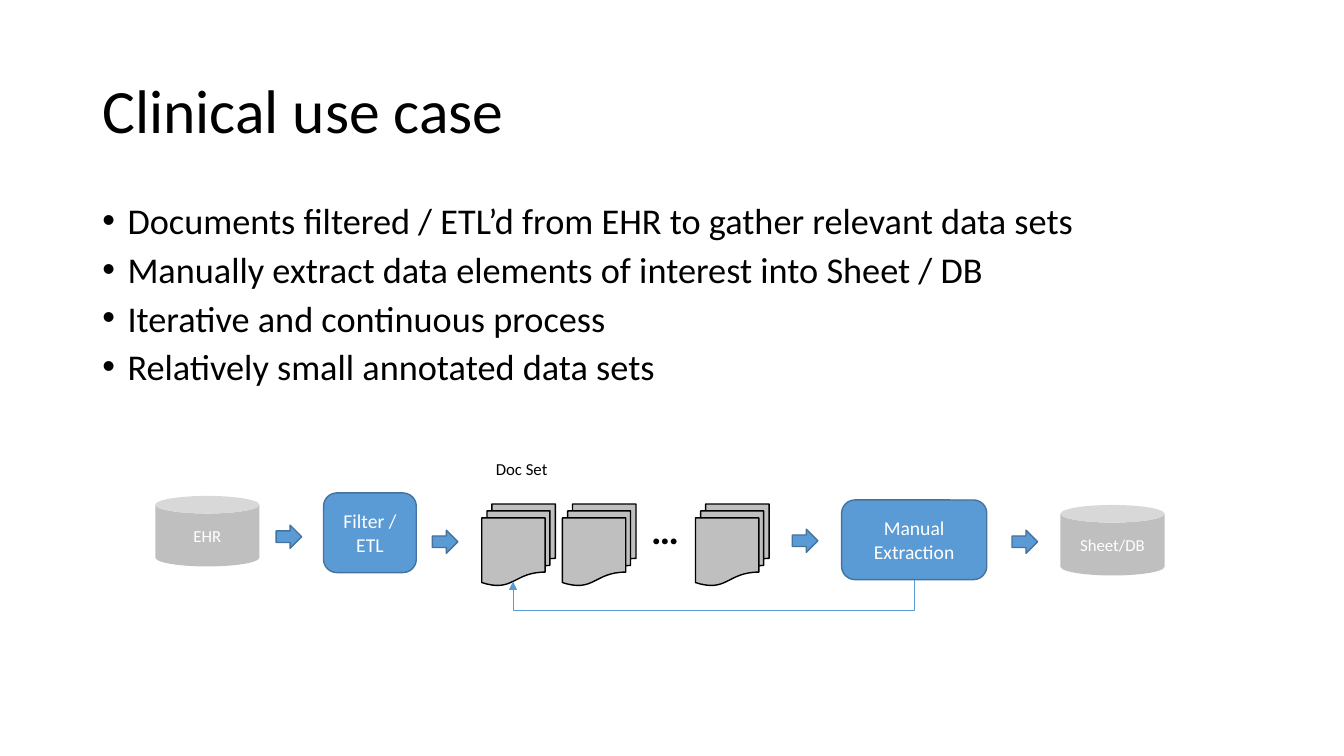
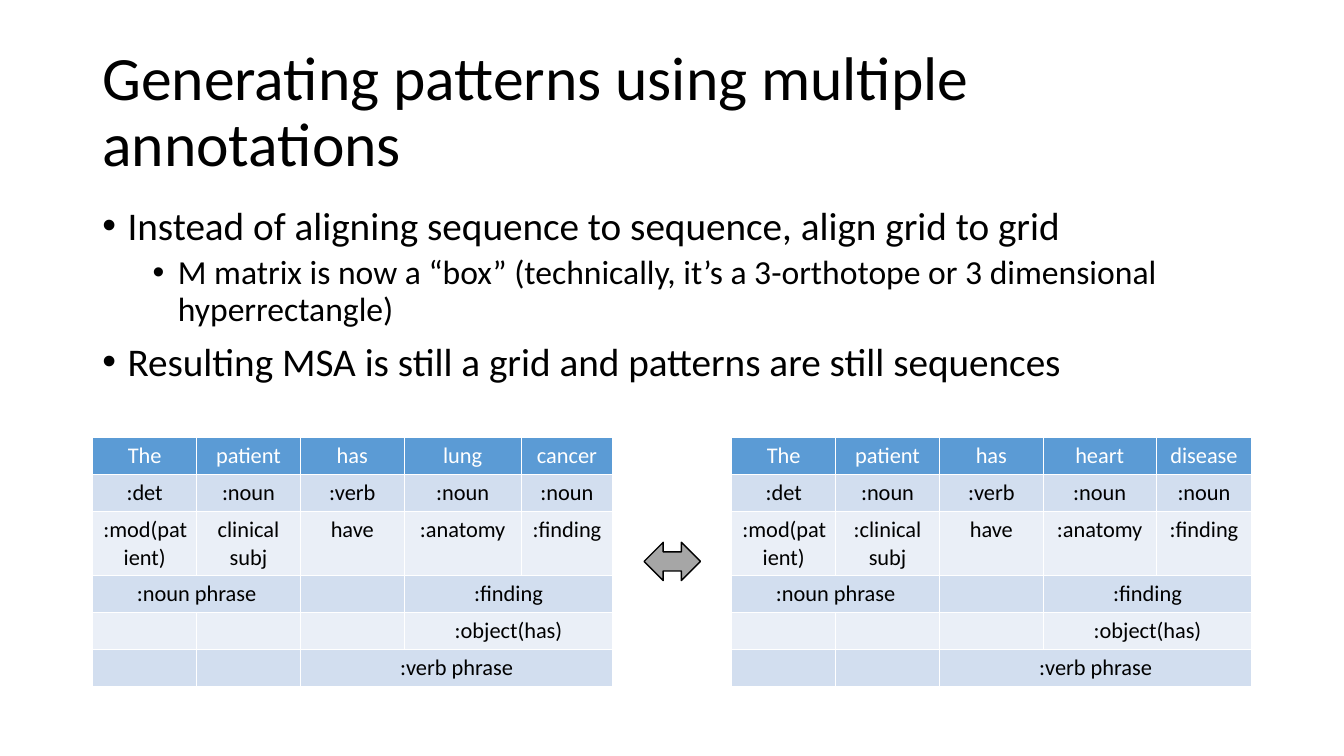
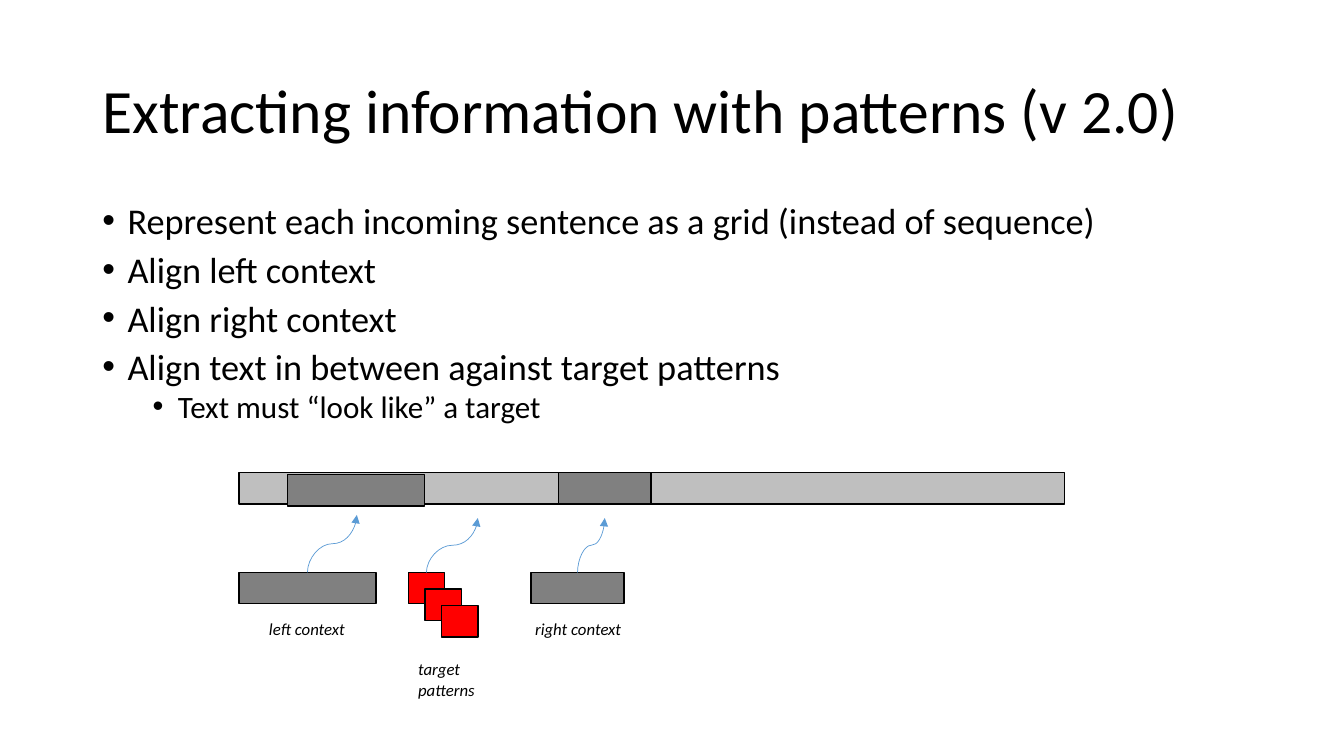
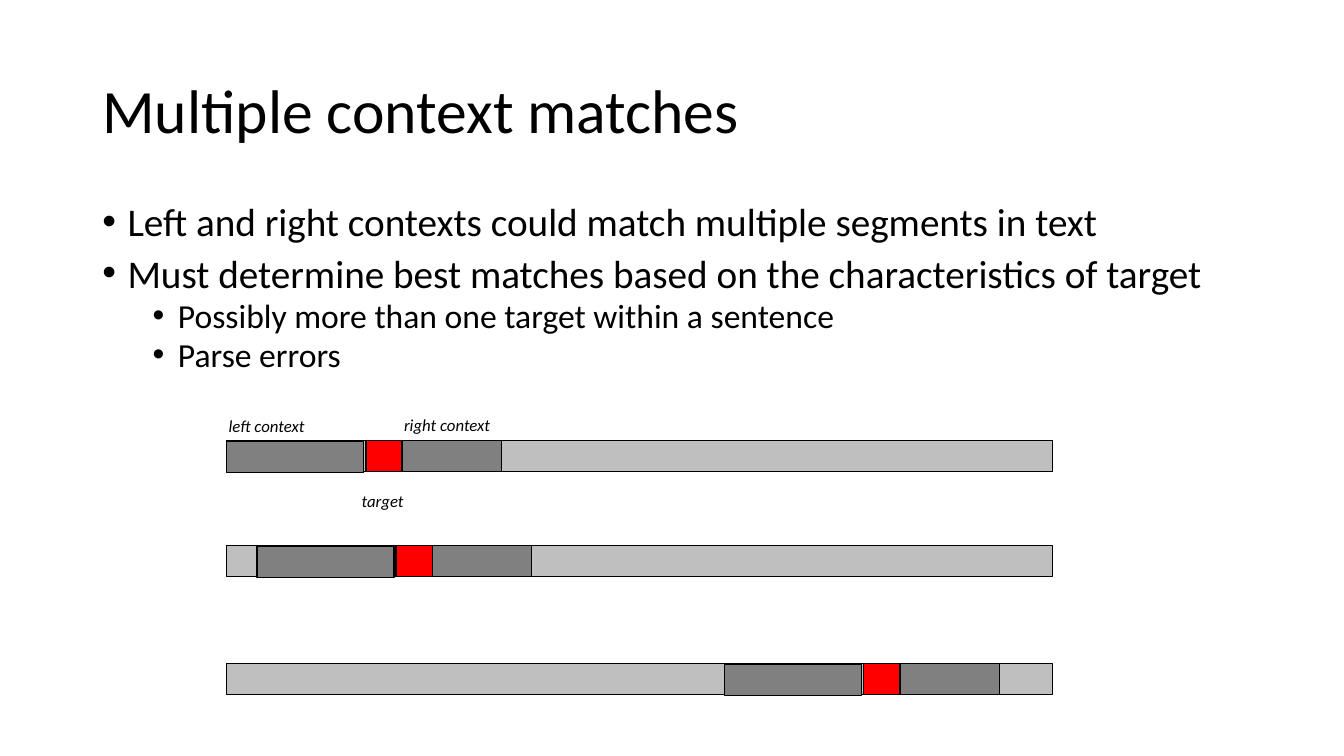
from lxml.etree import SubElement
from pptx import Presentation
from pptx.dml.color import RGBColor
from pptx.enum.shapes import MSO_CONNECTOR as LINK, MSO_SHAPE as SHAPE
from pptx.enum.text import MSO_ANCHOR, PP_ALIGN
from pptx.oxml.ns import qn
from pptx.util import Inches, Pt


class Theme:
    font = "Calibri"
    black, white, red = (RGBColor.from_string(c) for c in ("000000", "FFFFFF", "FF0000"))
    blue, navy = (RGBColor.from_string(c) for c in ("5B9BD5", "43739E"))
    pale, mid, dark = (RGBColor.from_string(c) for c in ("BFBFBF", "A6A6A6", "808080"))
    bands = [RGBColor.from_string(c) for c in ("EAEFF7", "D2DEEF")]
    title, dots, cell, step, note = 44, 28, 16, 14, 12
    large, small = (28, 24), (25.9, 22.2)


deck = Presentation()
deck.slide_width, deck.slide_height = Inches(13.333), Inches(7.5)
COL, ROW = deck.slide_width / 40, deck.slide_height / 30


def write(frame, lines, size, color=Theme.black, align=None, bold=False, italic=False):
    for i, line in enumerate(lines):
        para = frame.paragraphs[0] if i == 0 else frame.add_paragraph()
        para.alignment = align
        run = para.add_run()
        run.text = line
        font = run.font
        font.name, font.size, font.color.rgb = Theme.font, Pt(size), color
        font.bold, font.italic = bold, italic


def draw(slide, kind, x, y, wide, high, fill=None, edge=None):
    """Add a preset shape, or a text box when kind is None, in grid units."""
    area = [int(n) for n in (x * COL, y * ROW, wide * COL, high * ROW)]
    if kind is None:
        return slide.shapes.add_textbox(*area)
    shape = slide.shapes.add_shape(kind, *area)
    shape.shadow.inherit = False
    shape.fill.solid()
    shape.fill.fore_color.rgb = fill
    if edge is None:
        shape.line.fill.background()
    else:
        shape.line.color.rgb, shape.line.width = edge, Pt(1)
    return shape


# Titles and bullets: title, sizes by level, line spacing, (level, text)
pages = [
    ("Clinical use case", Theme.small, 0.8, [
        (0, "Documents filtered / ETL’d from EHR to gather relevant data sets"),
        (0, "Manually extract data elements of interest into Sheet / DB"),
        (0, "Iterative and continuous process"),
        (0, "Relatively small annotated data sets")]),
    ("Generating patterns using multiple annotations", Theme.large, 0.9, [
        (0, "Instead of aligning sequence to sequence, align grid to grid"),
        (1, "M matrix is now a “box” (technically, it’s a 3-orthotope or 3 dimensional hyperrectangle)"),
        (0, "Resulting MSA is still a grid and patterns are still sequences")]),
    ("Extracting information with patterns (v 2.0)", Theme.small, 0.8, [
        (0, "Represent each incoming sentence as a grid (instead of sequence)"),
        (0, "Align left context"),
        (0, "Align right context"),
        (0, "Align text in between against target patterns"),
        (1, "Text must “look like” a target")]),
    ("Multiple context matches", Theme.large, 0.8, [
        (0, "Left and right contexts could match multiple segments in text"),
        (0, "Must determine best matches based on the characteristics of target"),
        (1, "Possibly more than one target within a sentence"),
        (1, "Parse errors")]),
]
slides = []
for title, sizes, space, points in pages:
    slide = deck.slides.add_slide(deck.slide_layouts[6])
    slides.append(slide)
    frame = draw(slide, None, 2.75, 1.6, 34.5, 5.8).text_frame
    frame.word_wrap, frame.vertical_anchor = True, MSO_ANCHOR.MIDDLE
    write(frame, [title], Theme.title)
    frame.paragraphs[0].line_spacing = 0.9
    frame = draw(slide, None, 2.75, 8, 34.5, 8).text_frame
    frame.word_wrap = True
    write(frame, [text for _, text in points], sizes[0])
    for para, (level, _) in zip(frame.paragraphs, points):
        para.level, para.line_spacing = level, space
        para.space_before = Pt(5 if level else 10)
        para.runs[0].font.size = Pt(sizes[level])
        props = para._p.get_or_add_pPr()
        props.set("marL", str(Inches(0.25 + 0.5 * level)))
        props.set("indent", str(Inches(-0.25)))
        SubElement(props, qn("a:buFont")).set("typeface", "Arial")
        SubElement(props, qn("a:buChar")).set("char", "•")
flow, grids, match, multi = slides

# Flow of documents
for x, y, name in [(4.62, 19.68, "EHR"), (31.56, 20.04, "Sheet/DB")]:
    can = draw(flow, SHAPE.CAN, x, y, 3.1, 2.8, Theme.pale)
    write(can.text_frame, [name], Theme.note, Theme.white, PP_ALIGN.CENTER)
for x, y, wide, lines in [(9.63, 19.56, 2.76, ["Filter / ETL"]),
                          (25.05, 19.84, 4.32, ["Manual", "Extraction"])]:
    step = draw(flow, SHAPE.ROUNDED_RECTANGLE, x, y, wide, 3.16, Theme.blue, Theme.navy)
    write(step.text_frame, lines, Theme.step, Theme.white, PP_ALIGN.CENTER)
for x in (14.34, 16.74, 20.7):
    draw(flow, SHAPE.FLOWCHART_MULTIDOCUMENT, x, 20, 2.19, 3.24, Theme.pale, Theme.black)
for x, y in [(8.22, 20.84), (12.87, 21.04), (23.58, 21), (30.12, 21.04)]:
    draw(flow, SHAPE.RIGHT_ARROW, x, y, 0.76, 0.92, Theme.blue, Theme.navy)
dots = draw(flow, None, 19.08, 19.84, 1.44, 2.28).text_frame
dots.word_wrap = False
write(dots, ["…"], Theme.dots, bold=True)

# Grids of annotations
for x, widths, subj, words in [
        (2.76, (3.09, 3.09, 3.09, 3.48, 2.73), "clinical subj", ("lung", "cancer")),
        (21.78, (3.09, 3.09, 3.09, 3.36, 2.85), ":clinical subj", ("heart", "disease"))]:
    rows = [
        ("The", "patient", "has", *words),
        (":det", ":noun", ":verb", ":noun", ":noun"),
        (":mod(patient)", subj, "have", ":anatomy", ":finding"),
        (":noun phrase", "", "", ":finding", ""),
        ("", "", "", ":object(has)", ""),
        ("", "", ":verb phrase", "", ""),
    ]
    table = grids.shapes.add_table(
        len(rows), len(widths), int(x * COL), int(17.36 * ROW),
        int(sum(widths) * COL), int(7.44 * ROW)).table
    for col, wide in zip(table.columns, widths):
        col.width = int(wide * COL)
    for r, row in enumerate(rows):
        table.rows[r].height = int(1.24 * ROW)
        for c, text in enumerate(row):
            cell = table.cell(r, c)
            cell.fill.solid()
            cell.fill.fore_color.rgb = Theme.bands[r % 2] if r else Theme.blue
            if text:
                ink = Theme.black if r else Theme.white
                write(cell.text_frame, [text], Theme.cell, ink, PP_ALIGN.CENTER)
            else:
                end = cell.text_frame.paragraphs[0]._p.get_or_add_endParaRPr()
                end.set("sz", str(Theme.cell * 100))
    for r, first, last in [(3, 0, 1), (3, 3, 4), (4, 3, 4), (5, 2, 4)]:
        table.cell(r, first).merge(table.cell(r, last))
draw(grids, SHAPE.LEFT_RIGHT_ARROW, 19.17, 21.52, 1.68, 1.52, Theme.mid, Theme.black)

# Bars: slide, left, top, width, fill
LONG, LEFT, RIGHT, MARK = 24.57, 4.08, 2.76, 1.08
bars = [
    (match, 7.11, 18.76, LONG, Theme.pale),
    (match, 8.55, 18.84, LEFT, Theme.dark),
    (match, 16.62, 18.76, RIGHT, Theme.dark),
    (match, 7.11, 22.72, LEFT, Theme.dark),
    (match, 15.81, 22.72, RIGHT, Theme.dark),
]
bars += [(match, 12.15 + 0.5 * i, 22.72 + 0.66 * i, MARK, Theme.red) for i in range(3)]
for y, x in [(17.48, 6.75), (21.64, 7.65), (26.32, 21.57)]:
    bars += [
        (multi, 6.75, y, LONG, Theme.pale),
        (multi, x + 5.22, y, 2.95, Theme.dark),
        (multi, x + 4.14, y, MARK, Theme.red),
        (multi, x, y + 0.04, LEFT, Theme.dark),
    ]
for slide, x, y, wide, fill in bars:
    draw(slide, SHAPE.RECTANGLE, x, y, wide, 1.24, fill, Theme.black)

# Labels
for slide, x, y, wide, lines in [
        (flow, 14.46, 18, 2.16, ["Doc Set"]),
        (match, 7.71, 24.36, 2.91, ["left context"]),
        (match, 15.63, 24.36, 3.18, ["right context"]),
        (match, 12.15, 25.96, 2.31, ["target", "patterns"]),
        (multi, 6.51, 16.32, 2.91, ["left context"]),
        (multi, 11.73, 16.28, 3.18, ["right context"]),
        (multi, 10.47, 19.28, 1.86, ["target"])]:
    frame = draw(slide, None, x, y, wide, 1.2 * len(lines)).text_frame
    frame.word_wrap = False
    write(frame, lines, Theme.note, italic=slide is not flow)

# Links leave and arrive upright, so each is laid out flat and turned by 90 degrees
for slide, kind, x1, y1, x2, y2, bend in [
        (flow, LINK.ELBOW, 27.21, 23, 15.27, 23.08, 15),
        (match, LINK.CURVE, 9.15, 22.72, 10.62, 20.44, 0.5),
        (match, LINK.CURVE, 12.69, 22.72, 14.22, 20.56, 0.5),
        (match, LINK.CURVE, 17.19, 22.72, 18, 20.56, 0.5)]:
    midx, midy = (x1 + x2) / 2 * COL, (y1 + y2) / 2 * ROW
    dx, dy = (x1 - x2) / 2 * COL, (y1 - y2) / 2 * ROW
    link = slide.shapes.add_connector(
        kind, int(midx + dy), int(midy - dx), int(midx - dy), int(midy + dx))
    link.line.color.rgb, link.line.width = Theme.blue, Pt(0.5)
    props = link._element.spPr
    props.find(qn("a:xfrm")).set("rot", "5400000")
    guide = SubElement(props.find(qn("a:prstGeom")).find(qn("a:avLst")), qn("a:gd"))
    guide.set("name", "adj1")
    guide.set("fmla", f"val {int(bend * 100000)}")
    SubElement(props.find(qn("a:ln")), qn("a:tailEnd")).set("type", "triangle")
    SubElement(props, qn("a:effectLst"))

deck.save("out.pptx")
